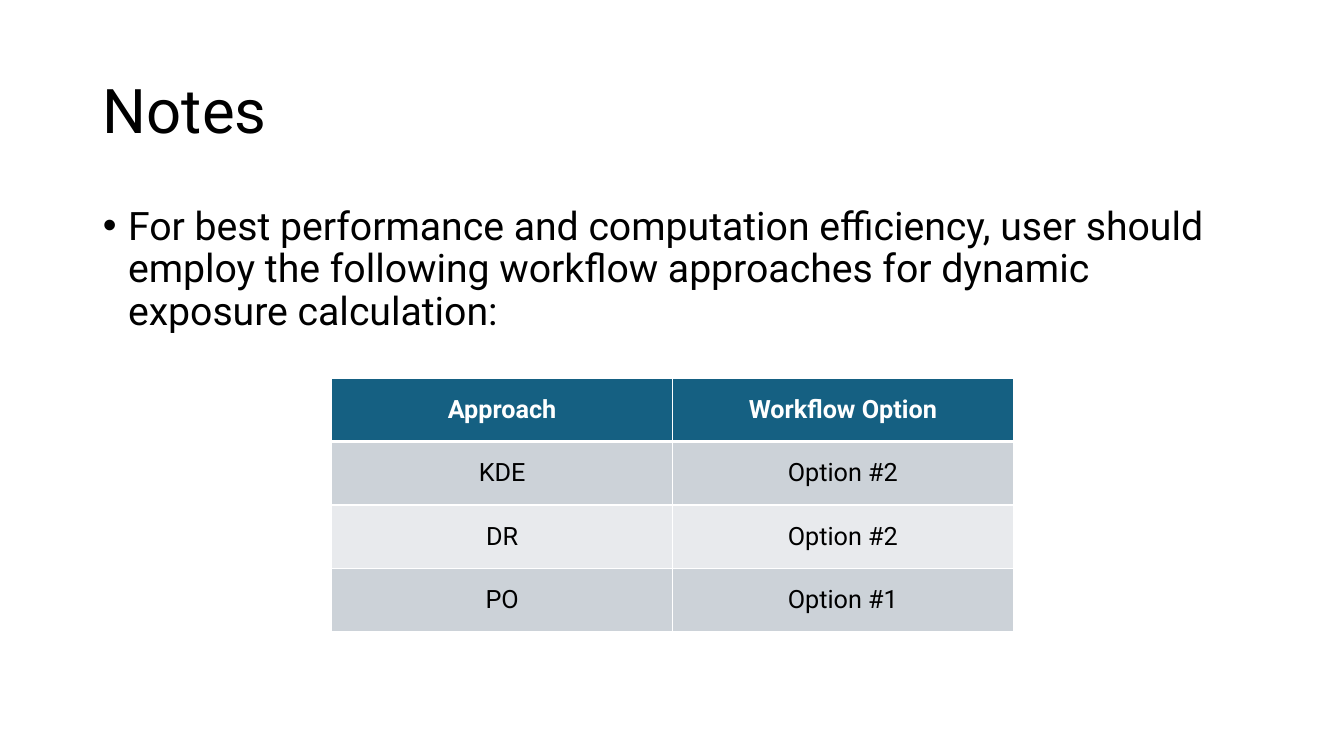
from lxml import etree
from pptx import Presentation
from pptx import util as u
from pptx.dml.color import RGBColor
from pptx.enum import text
from pptx.oxml import ns

PX = 9144  # EMU per px, 100 px to the inch
FONT = "Roboto"
BLACK = RGBColor(0x00, 0x00, 0x00)
WHITE = RGBColor(0xFF, 0xFF, 0xFF)
TEAL = RGBColor(0x15, 0x60, 0x82)
BAND_DARK = RGBColor(0xCC, 0xD2, 0xD8)
BAND_LIGHT = RGBColor(0xE8, 0xEA, 0xED)

ROWS = [
    ("Approach", "Workflow Option"),
    ("KDE", "Option #2"),
    ("DR", "Option #2"),
    ("PO", "Option #1"),
]


def px(n):
    return u.Emu(n * PX)


def set_attrs(obj, **values):
    for name, value in values.items():
        setattr(obj, name, value)


def write(tf, content, size, color=BLACK, bold=False, **para):
    p = tf.paragraphs[0]
    set_attrs(p, **para)
    r = p.add_run()
    r.text = content
    set_attrs(r.font, name=FONT, size=u.Pt(size), bold=bold)
    r.font.color.rgb = color
    return p


def place(sp, box, anchor):
    left, top, width, height = map(px, box)
    set_attrs(sp, left=left, top=top, width=width, height=height)
    set_attrs(sp.text_frame, word_wrap=True, vertical_anchor=anchor,
              auto_size=text.MSO_AUTO_SIZE.NONE)


def add_title(s, box, content):
    sp = s.shapes.title
    place(sp, box, text.MSO_ANCHOR.MIDDLE)
    write(sp.text_frame, content, 44, alignment=text.PP_ALIGN.LEFT,
          line_spacing=0.9, space_before=u.Pt(0))


def add_bullet(s, box, content):
    sp = s.placeholders[1]
    place(sp, box, text.MSO_ANCHOR.TOP)
    p = write(sp.text_frame, content, 28, line_spacing=0.9, space_before=u.Pt(10))
    pPr = p._p.get_or_add_pPr()
    pPr.set("marL", str(px(25)))
    pPr.set("indent", str(px(-25)))
    etree.SubElement(pPr, ns.qn("a:buFont"), typeface="Arial")
    etree.SubElement(pPr, ns.qn("a:buChar"), char="•")


def add_borders(cell, widths):
    tcPr = cell._tc.get_or_add_tcPr()
    for side, width in widths.items():
        ln = etree.SubElement(tcPr, ns.qn(f"a:ln{side}"), w=str(u.Pt(width)))
        fill = etree.SubElement(ln, ns.qn("a:solidFill"))
        etree.SubElement(fill, ns.qn("a:srgbClr"), val=str(WHITE))


def add_workflow_table(s, box, rows):
    table = s.shapes.add_table(len(rows), len(rows[0]), *map(px, box)).table
    for i, row in enumerate(rows):
        header = i == 0
        band = TEAL if header else BAND_DARK if i % 2 else BAND_LIGHT
        # Thick rule between the header and the first row
        widths = {"L": 1, "R": 1, "T": 3 if i == 1 else 1, "B": 3 if header else 1}
        for j, content in enumerate(row):
            cell = table.cell(i, j)
            add_borders(cell, widths)
            cell.fill.solid()
            cell.fill.fore_color.rgb = band
            cell.vertical_anchor = text.MSO_ANCHOR.MIDDLE
            write(cell.text_frame, content, 18, WHITE if header else BLACK,
                  bold=header, alignment=text.PP_ALIGN.CENTER)


def main():
    prs = Presentation()
    set_attrs(prs, slide_width=px(1333), slide_height=px(750))
    s = prs.slides.add_slide(prs.slide_layouts[1])

    # Title and list
    add_title(s, (92, 40, 1150, 145), "Notes")
    add_bullet(s, (92, 200, 1150, 476),
               "For best performance and computation efficiency, user should employ "
               "the following workflow approaches for dynamic exposure calculation:")

    # Recommended workflow for each approach
    add_workflow_table(s, (329, 375, 676, 252), ROWS)

    prs.save("out.pptx")


if __name__ == "__main__":
    main()
